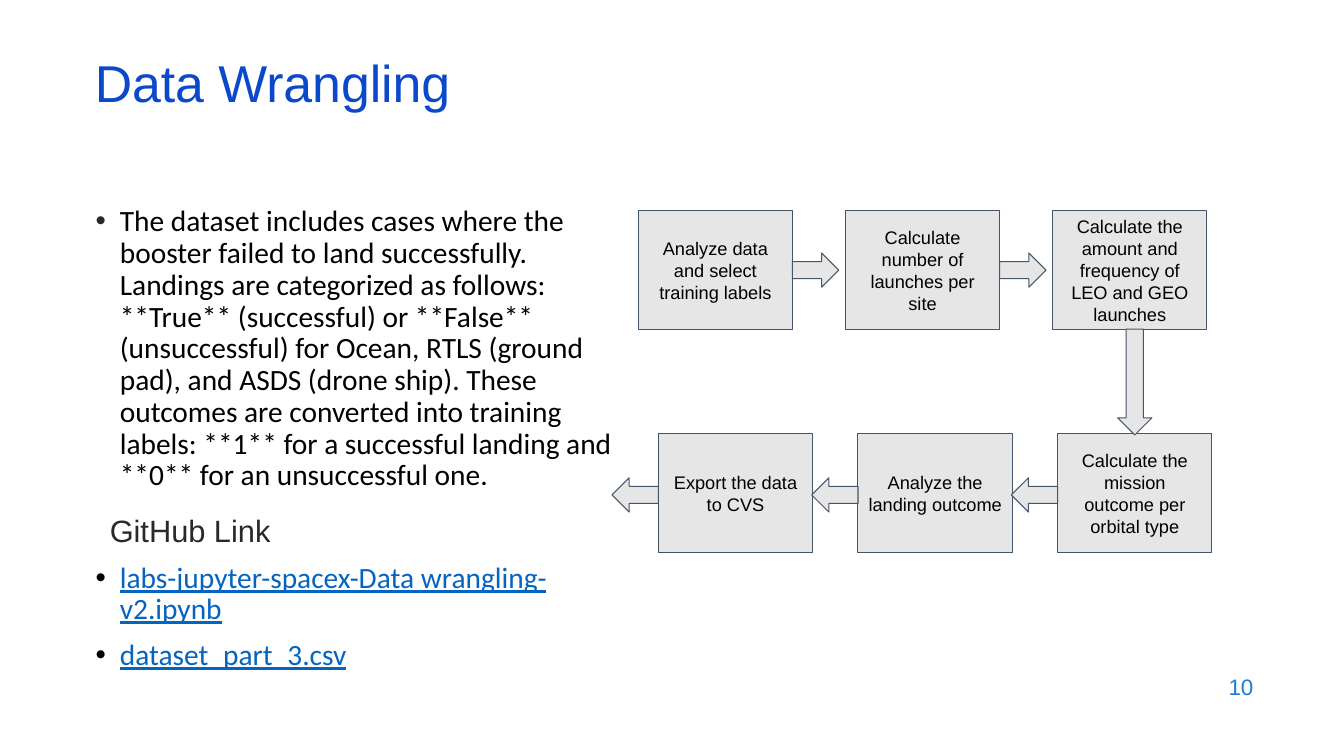
from lxml.etree import SubElement
from pptx import Presentation
from pptx.dml.color import RGBColor
from pptx.enum.shapes import MSO_SHAPE
from pptx.enum.text import MSO_ANCHOR, MSO_AUTO_SIZE, PP_ALIGN
from pptx.oxml.ns import qn
from pptx.util import Inches, Pt

TITLE_BLUE = RGBColor(0x0B, 0x49, 0xCB)
NUMBER_BLUE = RGBColor(0x1C, 0x7D, 0xDB)
LINK_BLUE = RGBColor(0x05, 0x63, 0xC1)
DARK = RGBColor(0x29, 0x29, 0x29)
BLACK = RGBColor(0, 0, 0)
STEP_FILL = RGBColor(0xE7, 0xE6, 0xE6)
STEP_LINE = RGBColor(0x44, 0x54, 0x6A)

STEP_W, STEP_H = 1.53, 1.18
ARROW_W, ARROW_H = 0.46, 0.34
TOP_ROW = [
    "Analyze data and select training labels",
    "Calculate number of launches per site",
    "Calculate the amount and frequency of LEO and GEO launches",
]
BOTTOM_ROW = [
    "Export the data to CVS",
    "Analyze the landing outcome",
    "Calculate the mission outcome per orbital type",
]
DATASET = (
    "The dataset includes cases where the booster failed to land successfully. "
    "Landings are categorized as follows: **True** (successful) or **False** "
    "(unsuccessful) for Ocean, RTLS (ground pad), and ASDS (drone ship). These "
    "outcomes are converted into training labels: **1** for a successful landing "
    "and **0** for an unsuccessful one."
)


class WranglingSlide:
    """Draws the elements of the slide in one shared style."""

    title_font = {"name": "Arial", "size": Pt(37)}
    number_font = {"name": "Arial", "size": Pt(16)}
    heading_font = {"name": "Arial", "size": Pt(22)}
    step_font = {"name": "Arial", "size": Pt(13)}
    body_font = {"name": "Calibri", "size": Pt(21)}
    link_font = {**body_font, "underline": True}

    def __init__(self, slide):
        self.slide = slide

    def apply(self, target, values):
        for name, value in values.items():
            setattr(target, name, value)

    def frame(self, shape, margin=0.05, anchor=MSO_ANCHOR.MIDDLE):
        text_frame = shape.text_frame
        self.apply(text_frame, {
            "word_wrap": True, "auto_size": MSO_AUTO_SIZE.NONE,
            "vertical_anchor": anchor,
            "margin_left": Inches(0.1), "margin_right": Inches(0.1),
            "margin_top": Inches(margin), "margin_bottom": Inches(margin),
        })
        return text_frame

    def add_text(self, paragraph, text, font, color, **layout):
        self.apply(paragraph, layout)
        run = paragraph.add_run()
        run.text = text
        self.apply(run.font, font)
        run.font.color.rgb = color

    def title(self, text, left, top, width, height):
        heading = self.slide.shapes.title
        self.apply(heading, {
            "left": Inches(left), "top": Inches(top),
            "width": Inches(width), "height": Inches(height),
        })
        self.add_text(self.frame(heading).paragraphs[0], text, self.title_font,
                      TITLE_BLUE, alignment=PP_ALIGN.LEFT, line_spacing=0.7)

    def textbox(self, left, top, width, height, anchor):
        box = self.slide.shapes.add_textbox(
            Inches(left), Inches(top), Inches(width), Inches(height))
        return self.frame(box, anchor=anchor)

    def page_number(self, text, *place):
        number = self.textbox(*place, MSO_ANCHOR.MIDDLE)
        self.add_text(number.paragraphs[0], text, self.number_font, NUMBER_BLUE,
                      alignment=PP_ALIGN.RIGHT)

    def indent(self, paragraph, hanging, bullet_color=None):
        properties = paragraph._p.get_or_add_pPr()
        properties.set("marL", str(Inches(0.25)))
        properties.set("indent", str(-Inches(hanging)))
        if bullet_color is not None:
            color = SubElement(properties, qn("a:buClr"))
            SubElement(color, qn("a:srgbClr")).set("val", str(bullet_color))
            SubElement(properties, qn("a:buFont")).set("typeface", "Arial")
            SubElement(properties, qn("a:buChar")).set("char", "•")

    def body(self, *place):
        notes = self.textbox(*place, MSO_ANCHOR.TOP)
        dataset = notes.paragraphs[0]
        self.indent(dataset, 0.24, DARK)
        self.add_text(dataset, DATASET, self.body_font, BLACK, line_spacing=0.9)
        heading = notes.add_paragraph()
        self.indent(heading, 0.1)
        self.add_text(heading, "GitHub Link", self.heading_font, DARK,
                      space_before=Pt(14))
        for file_name in ("labs-jupyter-spacex-Data wrangling-v2.ipynb",
                          "dataset_part_3.csv"):
            link = notes.add_paragraph()
            self.indent(link, 0.24, BLACK)
            self.add_text(link, file_name, self.link_font, LINK_BLUE,
                          line_spacing=0.9, space_before=Pt(10))

    def block(self, preset, left, top, width, height):
        shape = self.slide.shapes.add_shape(
            preset, Inches(left), Inches(top), Inches(width), Inches(height))
        shape.shadow.inherit = False
        shape.fill.solid()
        shape.fill.fore_color.rgb = STEP_FILL
        shape.line.color.rgb = STEP_LINE
        shape.line.width = Pt(0.75)
        return shape

    def step(self, text, left, top):
        box = self.block(MSO_SHAPE.RECTANGLE, left, top, STEP_W, STEP_H)
        self.add_text(self.frame(box, margin=0.1).paragraphs[0], text,
                      self.step_font, BLACK, alignment=PP_ALIGN.CENTER)

    def arrow(self, left, top, length=ARROW_W, rotation=0):
        arrow = self.block(MSO_SHAPE.RIGHT_ARROW, left, top, length, ARROW_H)
        arrow.rotation = rotation

    def flow(self):
        for column, text in enumerate(TOP_ROW):
            left = 6.33 + 2.055 * column
            self.step(text, left, 2.09)
            if column < len(TOP_ROW) - 1:
                self.arrow(left + STEP_W, 2.51)
        for column, text in enumerate(BOTTOM_ROW):
            left = 6.53 + 1.98 * column
            self.step(text, left, 4.3)
            self.arrow(left - ARROW_W, 4.74, rotation=180)
        self.arrow(10.73, 3.62, length=1.05, rotation=90)


def main():
    presentation = Presentation()
    presentation.slide_width = Inches(13.33)
    presentation.slide_height = Inches(7.5)
    page = WranglingSlide(
        presentation.slides.add_slide(presentation.slide_layouts[5]))
    page.title("Data Wrangling", 0.84, 0.59, 11.5, 0.6)
    page.page_number("10", 9.53, 6.59, 3, 0.44)
    page.body(0.84, 2, 5.39, 4.76)
    page.flow()
    presentation.save("out.pptx")


if __name__ == "__main__":
    main()
